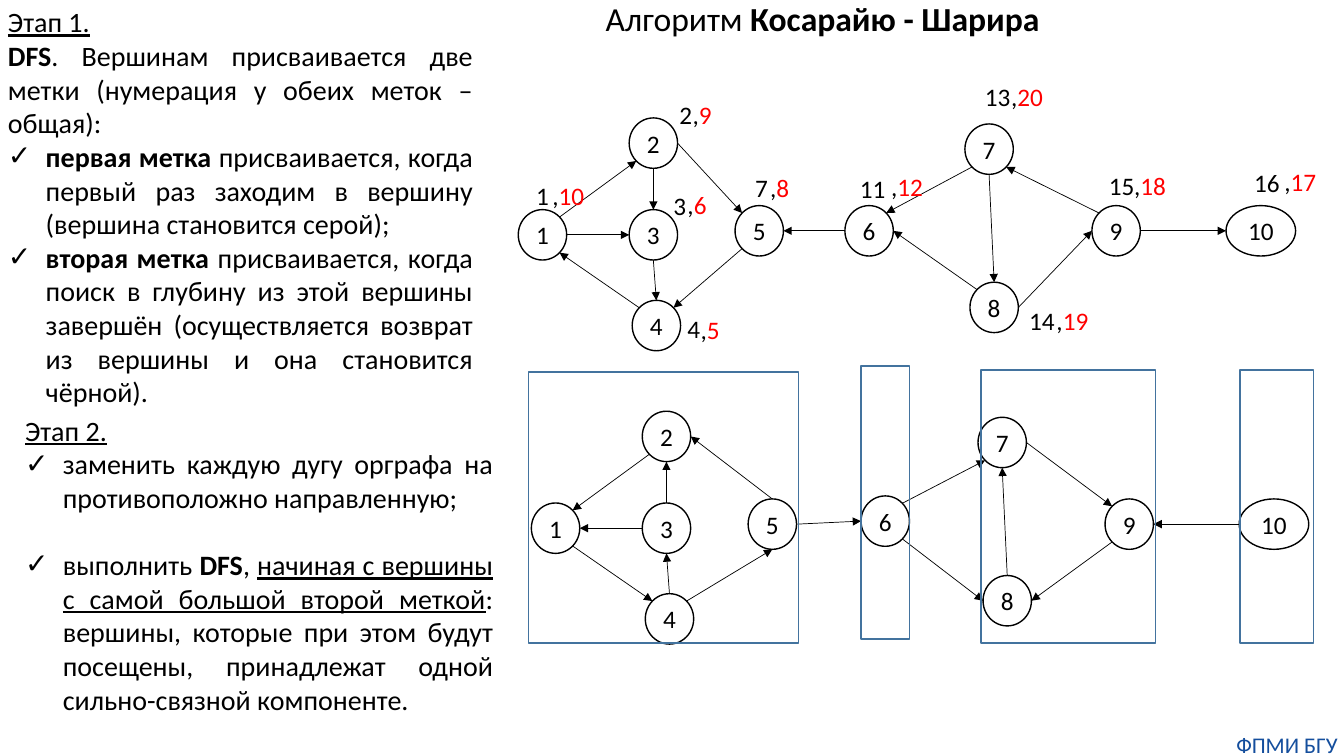
from dataclasses import dataclass
from math import cos, radians, sin

from lxml import etree
from pptx import Presentation
from pptx import util as u
from pptx.dml.color import RGBColor
from pptx.enum import shapes, text
from pptx.oxml import ns

PX = 9144


@dataclass(frozen=True)
class Theme:
    font: str = "Calibri"
    ink: str = "000000"
    finish: str = "FF0000"
    component: str = "43739E"
    footer: str = "144E9D"
    title_size: int = 24
    body_size: int = 20
    label_size: int = 18
    footer_size: int = 16
    bullet_indent: int = 27
    outline: float = 1
    arc: float = 0.5


THEME = Theme()
SITES = ["n", "nw", "w", "sw", "s", "se", "e", "ne"]
NODES = {
    "1": (0, 91), "2": (110, 0), "3": (110, 91), "4": (113, 181), "5": (215, 87),
    "6": (324, 87), "7": (443, 6), "8": (448, 163), "9": (569, 87), "10": (702, 87),
}
ARCS = [
    "1 ne 2 sw", "2 e 5 nw", "5 sw 4 ne", "2 s 3 n", "3 s 4 n", "4 nw 1 se", "1 e 3 w",
    "6 w 5 e", "7 s 8 n", "8 e 9 w", "9 nw 7 se", "7 sw 6 ne", "8 nw 6 e", "9 e 10 w",
]
REVERSED_ARCS = [
    "2 sw 1 ne", "5 n 2 e", "4 ne 5 s", "3 n 2 s", "4 n 3 s", "1 se 4 nw", "3 w 1 e",
    "5 e 6 w", "8 n 7 s", "9 sw 8 e", "7 e 9 nw", "6 ne 7 sw", "6 se 8 w", "10 w 9 e",
]
FIRST_MARKS = [
    ("1", 8, 57), ("2", 150, -23), ("7", 225, 49), ("4", 158, 189), ("3", 144, 67),
    ("11", 329, 50), ("13", 453, -41), ("14", 497, 181), ("15", 576, 47), ("16", 720, 44),
]
SECOND_MARKS = [
    ("10", 24, 57), ("9", 163, -23), ("6", 158, 66), ("5", 171, 190), ("8", 240, 49),
    ("12", 360, 48), ("20", 479, -41), ("19", 524, 181), ("18", 601, 47), ("17", 750, 43),
]
COMPONENTS = [(703, -41, 73, 271), (446, -41, 173, 271), (327, -45, 48, 271), (-3, -39, 268, 269)]
STAGE_1 = [
    (False, 0, [("Этап 1.", "u")]),
    (False, 0, [("DFS", "b"),
                (". Вершинам присваивается две метки (нумерация у обеих меток – общая):", "")]),
    (True, 0, [("первая метка ", "b"),
               ("присваивается, когда первый раз заходим в вершину (вершина становится серой);", "")]),
    (True, 0, [("вторая метка ", "b"),
               ("присваивается, когда поиск в глубину из этой вершины завершён "
                "(осуществляется возврат из вершины и она становится чёрной).", "")]),
]
STAGE_2 = [
    (False, 0, [("Этап 2.", "u")]),
    (True, 0, [("заменить каждую дугу орграфа на противоположно направленную;", "")]),
    (True, 24, [("выполнить ", ""), ("DFS", "b"), (", ", ""),
                ("начиная с вершины с самой большой второй меткой", "u"),
                (": вершины, которые при этом будут посещены, "
                 "принадлежат одной сильно-связной компоненте.", "")]),
]


def emu(*lengths):
    return [round(n * PX) for n in lengths]


def style(r, size, color=THEME.ink, flags=""):
    r.font.name = THEME.font
    r.font.size = u.Pt(size)
    r.font.color.rgb = RGBColor.from_string(color)
    r.font.bold = "b" in flags
    r.font.underline = "u" in flags


def add_runs(p, runs, size):
    for words, color, flags in runs:
        r = p.add_run()
        r.text = words
        style(r, size, color, flags)


def text_box(s, box, wrap=True, inset=None):
    tf = s.shapes.add_textbox(*emu(*box)).text_frame
    tf.word_wrap = wrap
    if inset is not None:
        tf.margin_left = tf.margin_right = tf.margin_top = tf.margin_bottom = inset
    return tf


def line_of_text(s, box, runs, size, align=text.PP_ALIGN.LEFT, wrap=True, inset=None):
    p = text_box(s, box, wrap, inset).paragraphs[0]
    p.alignment = align
    add_runs(p, runs, size)


def outlined(s, kind, box, color):
    sp = s.shapes.add_shape(kind, *emu(*box))
    sp.shadow.inherit = False
    sp.fill.background()
    sp.line.color.rgb = RGBColor.from_string(color)
    sp.line.width = u.Pt(THEME.outline)
    return sp


def stage(s, box, paragraphs):
    tf = text_box(s, box)
    for i, (bullet, gap, runs) in enumerate(paragraphs):
        p = tf.add_paragraph() if i else tf.paragraphs[0]
        p.alignment = text.PP_ALIGN.JUSTIFY
        p.space_before = u.Pt(gap)
        if bullet:
            indent = u.Pt(THEME.bullet_indent)
            pPr = p._p.get_or_add_pPr()
            pPr.set("marL", str(indent))
            pPr.set("indent", str(-indent))
            etree.SubElement(pPr, ns.qn("a:buFont"), typeface=THEME.font)
            etree.SubElement(pPr, ns.qn("a:buChar"), char="✓")
        add_runs(p, [(words, THEME.ink, flags) for words, flags in runs], THEME.body_size)


def node(s, name, x, y):
    width = 69 if len(name) > 1 else 48
    sp = outlined(s, shapes.MSO_SHAPE.OVAL, (x, y, width, 50), THEME.ink)
    tf = sp.text_frame
    tf.margin_left = tf.margin_right = 0
    tf.vertical_anchor = text.MSO_ANCHOR.MIDDLE
    tf.text = name
    p = tf.paragraphs[0]
    p.alignment = text.PP_ALIGN.CENTER
    style(p.runs[0], THEME.label_size)
    return sp


def site_point(sp, site):
    angle = radians(90 + 45 * SITES.index(site))
    return (round(sp.left + sp.width / 2 * (1 + cos(angle))),
            round(sp.top + sp.height / 2 * (1 - sin(angle))))


def arc(s, start, start_site, end, end_site):
    c = s.shapes.add_connector(shapes.MSO_CONNECTOR.STRAIGHT,
                               *site_point(start, start_site), *site_point(end, end_site))
    c.line.color.rgb = RGBColor.from_string(THEME.ink)
    c.line.width = u.Pt(THEME.arc)
    etree.SubElement(c.line._get_or_add_ln(), ns.qn("a:tailEnd"), type="triangle")
    etree.SubElement(c._element.spPr, ns.qn("a:effectLst"))
    joints = c._element.find(".//" + ns.qn("p:cNvCxnSpPr"))
    for tag, sp, site in (("a:stCxn", start, start_site), ("a:endCxn", end, end_site)):
        etree.SubElement(joints, ns.qn(tag), id=str(sp.shape_id), idx=str(SITES.index(site)))


def graph(s, x, y, nodes, arcs):
    ovals = {name: node(s, name, x + dx, y + dy) for name, (dx, dy) in nodes.items()}
    for entry in arcs:
        start, start_site, end, end_site = entry.split()
        arc(s, ovals[start], start_site, ovals[end], end_site)


def marks(s, x, y, entries, color, prefix=""):
    for number, dx, dy in entries:
        width = 20 + 13 * len(number) + 6 * len(prefix)
        runs = [(prefix, THEME.ink, "")] if prefix else []
        line_of_text(s, (x + dx, y + dy, width, 40), runs + [(number, color, "")],
                     THEME.label_size, wrap=False)


def components(s, x, y):
    for dx, dy, width, height in COMPONENTS:
        outlined(s, shapes.MSO_SHAPE.RECTANGLE, (x + dx, y + dy, width, height), THEME.component)


def main():
    prs = Presentation()
    prs.slide_width, prs.slide_height = emu(1333, 750)
    s = prs.slides.add_slide(prs.slide_layouts[6])
    line_of_text(s, (583, -7, 466, 50),
                 [("Алгоритм ", THEME.ink, ""), ("Косарайю - Шарира", THEME.ink, "b")],
                 THEME.title_size, text.PP_ALIGN.CENTER)
    graph(s, 514, 117, NODES, ARCS)
    graph(s, 527, 408, {**NODES, "6": (327, 84)}, REVERSED_ARCS)
    marks(s, 514, 117, FIRST_MARKS, THEME.ink)
    line_of_text(s, (1220, 725, 113, 27), [("ФПМИ БГУ", THEME.footer, "")],
                 THEME.footer_size, text.PP_ALIGN.CENTER, inset=0)
    stage(s, (-2, 0, 481, 414), STAGE_1)
    stage(s, (15, 405, 484, 313), STAGE_2)
    marks(s, 514, 117, SECOND_MARKS, THEME.finish, ",")
    components(s, 527, 408)
    prs.save("out.pptx")


if __name__ == "__main__":
    main()
